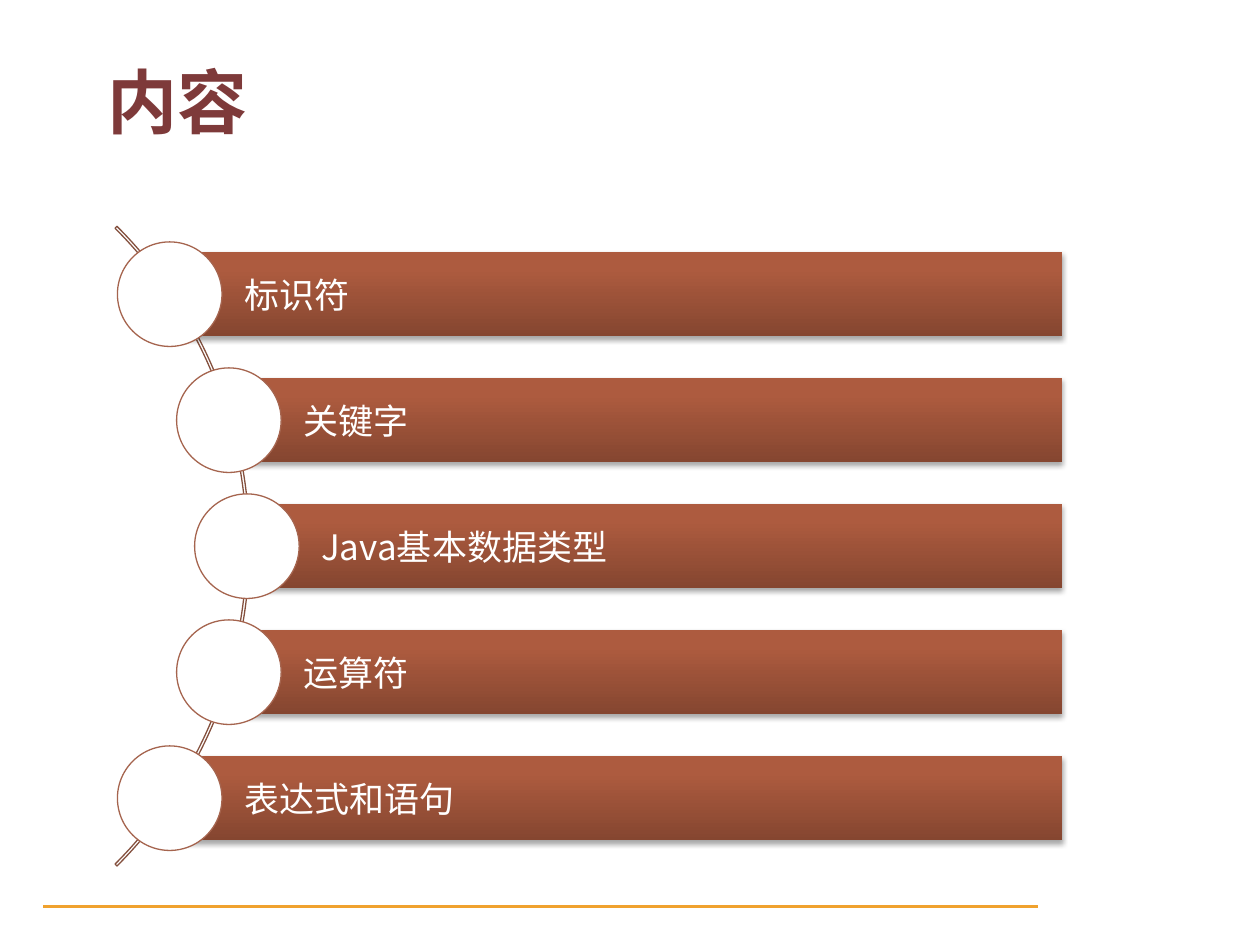
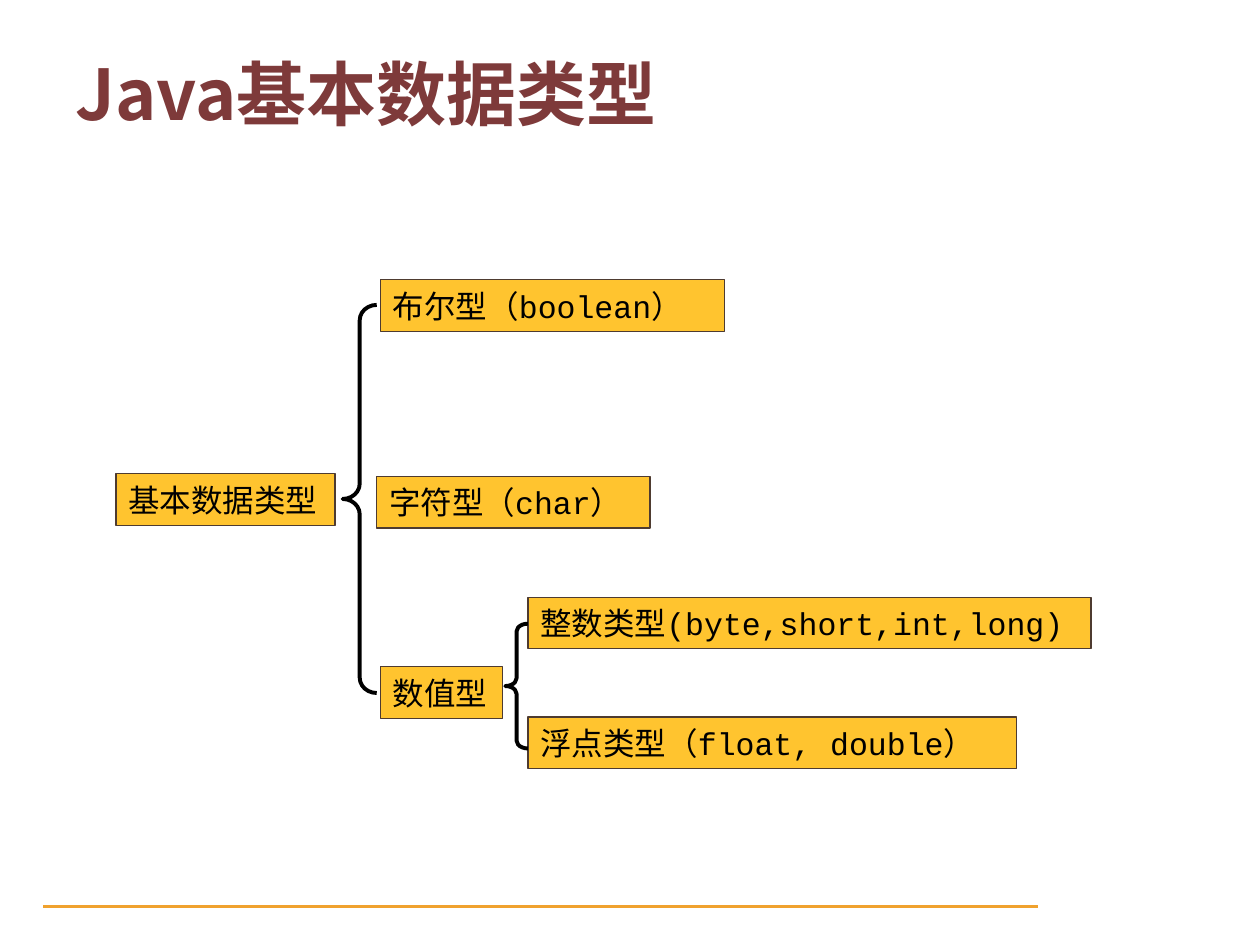
from math import sqrt

from lxml import etree
from pptx import Presentation
from pptx.dml.color import RGBColor
from pptx.enum.shapes import MSO_SHAPE
from pptx.enum.text import MSO_ANCHOR, MSO_AUTO_SIZE, PP_ALIGN
from pptx.oxml import parse_xml
from pptx.oxml.ns import nsdecls, qn
from pptx.util import Inches, Pt

RECTANGLE = MSO_SHAPE.RECTANGLE
OVAL = MSO_SHAPE.OVAL
BLOCK_ARC = MSO_SHAPE.BLOCK_ARC
LEFT_BRACE = MSO_SHAPE.LEFT_BRACE
MIDDLE = MSO_ANCHOR.MIDDLE
NO_AUTOFIT = MSO_AUTO_SIZE.NONE
LEFT = PP_ALIGN.LEFT

WHITE = RGBColor(0xFF, 0xFF, 0xFF)
BLACK = RGBColor(0, 0, 0)
MAROON = RGBColor(0x7E, 0x3A, 0x3A)
AMBER = RGBColor(0xF0, 0xA2, 0x2E)
YELLOW = RGBColor(0xFF, 0xC4, 0x2F)
DARK_BROWN = RGBColor(0x4E, 0x3B, 0x30)
ARC_BROWN = RGBColor(0x84, 0x50, 0x3E)
CIRCLE_BROWN = RGBColor(0xA5, 0x64, 0x4E)
BAR_STOPS = (
    (0, RGBColor(0x85, 0x46, 0x30)),
    (80, RGBColor(0xAD, 0x5B, 0x3F)),
    (100, RGBColor(0xAF, 0x5A, 0x3D)),
)

CJK_FONT = "Noto Sans CJK SC"
CODE_FONT = "Courier New"
SERIF_FONT = "Times New Roman"

TOPICS = ("标识符", "关键字", "Java基本数据类型", "运算符", "表达式和语句")
TYPE_NODES = (
    ("基本数据类型", SERIF_FONT, 0, 1.54, 1.74),
    ("数值型", SERIF_FONT, 2.1, 3.07, 0.97),
    ("字符型（char）", CODE_FONT, 2.07, 1.56, 2.17),
    ("布尔型（boolean）", CODE_FONT, 2.1, 0, 2.73),
    ("整数类型(byte,short,int,long)", CODE_FONT, 3.27, 2.52, 4.47),
    ("浮点类型（float, double）", CODE_FONT, 3.27, 3.47, 3.88),
)
TYPE_BRACES = (
    (1.8, 0.2, 0.27, 3.08, 0.45),
    (3.09, 2.73, 0.18, 0.99, 0.34),
)


def add_part(slide, preset, left, top, width, height, fill=None, line=None, weight=0.75):
    part = slide.shapes.add_shape(
        preset, Inches(left), Inches(top), Inches(width), Inches(height))
    part.shadow.inherit = False
    if fill is None:
        part.fill.background()
    else:
        part.fill.solid()
        part.fill.fore_color.rgb = fill
    if line is None:
        part.line.fill.background()
    else:
        part.line.color.rgb = line
        part.line.width = Pt(weight)
    return part


def write(shape, text, size, color, latin=CJK_FONT, bold=False):
    frame = shape.text_frame
    frame.text = text
    frame.word_wrap = True
    frame.auto_size = NO_AUTOFIT
    frame.vertical_anchor = MIDDLE
    paragraph = frame.paragraphs[0]
    paragraph.alignment = LEFT
    font = paragraph.font
    font.size = Pt(size)
    font.bold = bold
    font.color.rgb = color
    font.name = latin
    properties = paragraph._p.pPr.find(qn("a:defRPr"))
    etree.SubElement(properties, qn("a:ea")).set("typeface", CJK_FONT)
    return frame


def add_footer_rule(slide):
    rule = add_part(slide, RECTANGLE, 0.33, 7.17, 7.92, 0.05, AMBER, WHITE, 2)
    rule.element.nvSpPr.cNvPr.set("id", "20")
    slide.slide_layout.shapes.element.append(rule.element)


def set_title(slide, text, left, top, width, height):
    title = slide.shapes.title
    title.left, title.top = Inches(left), Inches(top)
    title.width, title.height = Inches(width), Inches(height)
    write(title, text, 40, MAROON, bold=True)


def style_bar(bar):
    stops = "".join(
        f'<a:gs pos="{position * 1000}"><a:srgbClr val="{color}"/></a:gs>'
        for position, color in BAR_STOPS)
    gradient = parse_xml(
        f'<a:gradFill {nsdecls("a")} rotWithShape="1"><a:gsLst>{stops}</a:gsLst>'
        '<a:lin ang="16200000" scaled="0"/></a:gradFill>')
    shadow = parse_xml(
        f'<a:outerShdw {nsdecls("a")} blurRad="{Pt(3.1)}" dist="{Pt(1.8)}" '
        'dir="5400000" rotWithShape="0"><a:srgbClr val="000000">'
        '<a:alpha val="35000"/></a:srgbClr></a:outerShdw>')
    properties = bar.element.spPr
    properties.replace(properties.find(qn("a:noFill")), gradient)
    properties.find(qn("a:effectLst")).append(shadow)


def draw_topic_list(slide, left, top, width, height):
    diameter, bar_height, arc_size, curve_radius = 0.83, 0.67, 7.18, 3.57
    arc_x, middle = left - 2.53, top + height / 2
    pitch = (height - diameter) / (len(TOPICS) - 1)

    arc = add_part(slide, BLOCK_ARC, arc_x - arc_size / 2, middle - arc_size / 2,
                   arc_size, arc_size, line=ARC_BROWN)
    for index, value in enumerate((189, 27, 0.003)):
        arc.adjustments[index] = value

    for index, topic in enumerate(TOPICS):
        center_y = top + diameter / 2 + index * pitch
        center_x = arc_x + sqrt(curve_radius ** 2 - (center_y - middle) ** 2)
        bar = add_part(slide, RECTANGLE, center_x, center_y - bar_height / 2,
                       left + width - center_x, bar_height)
        style_bar(bar)
        frame = write(bar, topic, 20, WHITE)
        frame.margin_left = Inches(0.59)
        add_part(slide, OVAL, center_x - diameter / 2, center_y - diameter / 2,
                 diameter, diameter, WHITE, CIRCLE_BROWN)


def draw_type_tree(slide, left, top):
    for label, latin, x, y, width in TYPE_NODES:
        node = add_part(slide, RECTANGLE, left + x, top + y, width, 0.41,
                        YELLOW, DARK_BROWN)
        frame = write(node, label, 18, BLACK, latin)
        frame.margin_right = 0
    for x, y, width, height, curl in TYPE_BRACES:
        brace = add_part(slide, LEFT_BRACE, left + x, top + y, width, height,
                         line=BLACK, weight=2.25)
        brace.adjustments[0] = curl


def main():
    presentation = Presentation()
    presentation.slide_width = Inches(10)
    presentation.slide_height = Inches(7.5)
    title_only = presentation.slide_layouts[5]

    contents = presentation.slides.add_slide(title_only)
    add_footer_rule(contents)
    set_title(contents, "内容", 0.75, 0.42, 8.11, 0.75)
    draw_topic_list(contents, 0.92, 1.92, 7.51, 4.83)

    data_types = presentation.slides.add_slide(title_only)
    set_title(data_types, "Java基本数据类型", 0.5, 0.3, 6.83, 0.87)
    draw_type_tree(data_types, 0.92, 2.22)

    presentation.save("out.pptx")


if __name__ == "__main__":
    main()
